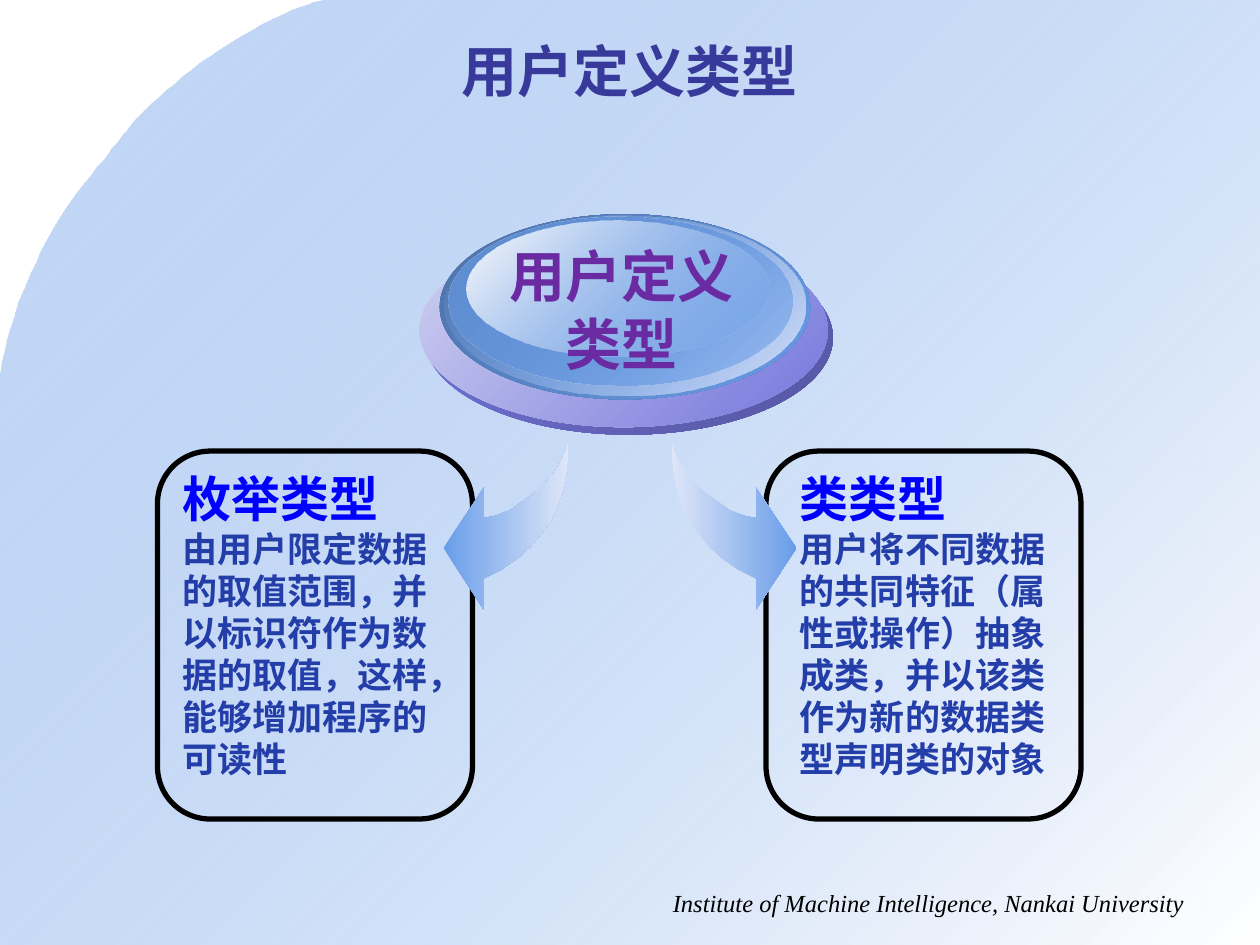
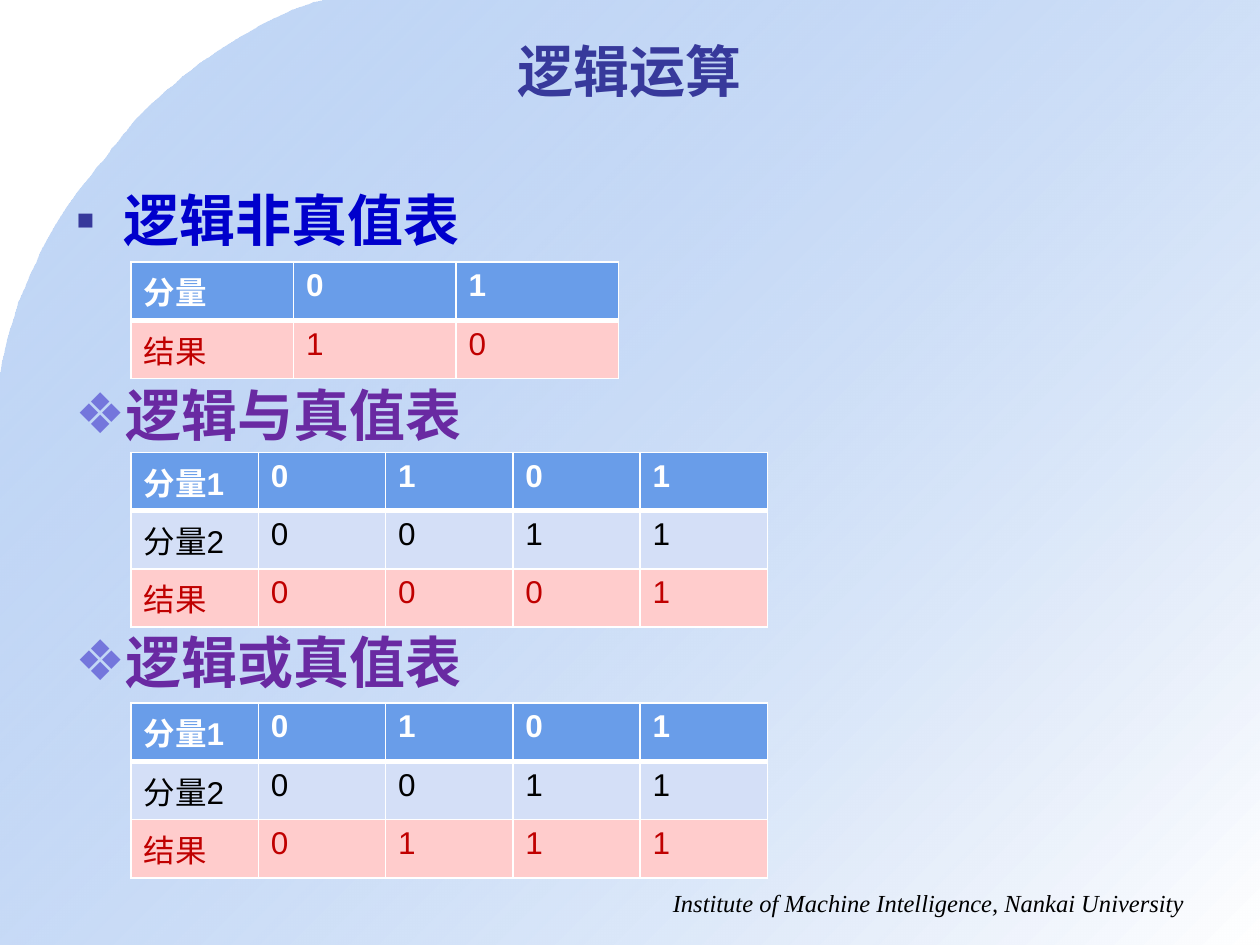
from lxml.etree import SubElement
from pptx import Presentation
from pptx.dml.color import RGBColor
from pptx.enum.lang import MSO_LANGUAGE_ID
from pptx.enum.shapes import MSO_SHAPE
from pptx.enum.text import MSO_ANCHOR, MSO_AUTO_SIZE, PP_ALIGN
from pptx.oxml.ns import qn
from pptx.util import Pt

SCALE = 9144  # EMU per px, 100 px to the inch
WIDE, HIGH = 1000, 750
HAN = "Noto Sans CJK SC"

INK = {
    "white": "FFFFFF", "black": "000000", "title": "37399B", "head": "0000FF",
    "text": "233DA9", "plum": "692AA2", "navy": "0000CC", "red": "C00000",
    "blue": "699DE9", "pale": "DEE6F8", "ice": "DAE3F8", "steel": "4B70A7",
    "sky": "5F8ED3", "lilac": "D0D1F0", "iris": "7476DC", "dusk": "5556A1",
    "row": "D4DFF7", "pink": "FFCCCC",
}

FORMS = {
    "title": {"name": "Arial", "size": Pt(32), "bold": True},
    "big": {"name": HAN, "size": Pt(32), "bold": True},
    "head": {"name": HAN, "size": Pt(28), "bold": True},
    "text": {"name": HAN, "size": Pt(20), "bold": True},
    "foot": {"name": "Times New Roman", "size": Pt(14), "italic": True},
    "top": {"name": "Arial", "size": Pt(18), "bold": True},
    "cell": {"name": "Arial", "size": Pt(18), "bold": False},
}


def rgb(ink):
    return RGBColor.from_string(INK[ink])


def px(*sizes):
    return [round(size * SCALE) for size in sizes]


def curve(start, one, two, end, steps=24):
    """Points on a cubic curve, without its start."""
    points = []
    for step in range(1, steps + 1):
        t = step / steps
        u = 1 - t
        parts = (u ** 3, 3 * u * u * t, 3 * u * t * t, t ** 3)
        points.append(tuple(sum(part * spot[axis] for part, spot in zip(parts, (start, one, two, end)))
                            for axis in (0, 1)))
    return points


class Deck:
    def __init__(self):
        self.prs = Presentation()
        self.prs.slide_width, self.prs.slide_height = px(WIDE, HIGH)
        self.slide = None

    def page(self, layout, title):
        self.slide = self.prs.slides.add_slide(self.prs.slide_layouts[layout])
        shape = self.slide.shapes.title
        self.place(shape, (50, 25, 900, 62))
        self.letter(shape, [(title, "title", "title")], PP_ALIGN.CENTER, MSO_ANCHOR.MIDDLE)

    def place(self, shape, box):
        for key, size in zip(("left", "top", "width", "height"), px(*box)):
            setattr(shape, key, size)

    def style(self, run, form, ink):
        for key, value in FORMS[form].items():
            setattr(run.font, key, value)
        run.font.color.rgb = rgb(ink)
        run.font.language_id = MSO_LANGUAGE_ID.SIMPLIFIED_CHINESE
        SubElement(run.font._element, qn("a:ea"), typeface=HAN)

    def letter(self, shape, lines, align=PP_ALIGN.LEFT, anchor=MSO_ANCHOR.TOP, wrap=True):
        frame = shape.text_frame
        looks = {"word_wrap": wrap, "auto_size": MSO_AUTO_SIZE.NONE, "vertical_anchor": anchor}
        for key, value in looks.items():
            setattr(frame, key, value)
        for index, (text, form, ink) in enumerate(lines):
            para = frame.add_paragraph() if index else frame.paragraphs[0]
            para.alignment = align
            para.space_before = Pt(0)
            run = para.add_run()
            run.text = text
            self.style(run, form, ink)

    def text(self, box, lines, **looks):
        shape = self.slide.shapes.add_textbox(*px(*box))
        self.letter(shape, lines, **looks)
        return shape

    def point(self, shape, text, ink, mark, tint):
        """One line with a coloured bullet."""
        self.letter(shape, [(text, "big", ink)])
        props = shape.text_frame.paragraphs[0]._p.get_or_add_pPr()
        indent, = px(38)
        props.set("marL", str(indent))
        props.set("indent", str(-indent))
        SubElement(SubElement(props, qn("a:buClr")), qn("a:srgbClr"), val=INK[tint])
        SubElement(props, qn("a:buFont"), typeface="Arial")
        SubElement(props, qn("a:buChar"), char=mark)

    def blend(self, shape, stops, angle):
        """Two-stop gradient; each stop is an ink and its opacity in percent."""
        shape.shadow.inherit = False
        shape.line.fill.background()
        shape.fill.gradient()
        shape.fill.gradient_angle = angle
        for stop, (ink, alpha) in zip(shape.fill.gradient_stops, stops):
            stop.color.rgb = rgb(ink)
            if alpha < 100:
                SubElement(stop._gs[0], qn("a:alpha"), val=str(alpha * 1000))

    def outline(self, points, stops, angle):
        pen = self.slide.shapes.build_freeform(*points[0], scale=SCALE)
        pen.add_line_segments(points[1:], close=True)
        shape = pen.convert_to_shape()
        self.blend(shape, stops, angle)
        return shape

    def disc(self, box, stops):
        shape = self.slide.shapes.add_shape(MSO_SHAPE.OVAL, *px(*box))
        self.blend(shape, stops, 315)

    def panel(self, box):
        shape = self.slide.shapes.add_shape(MSO_SHAPE.ROUNDED_RECTANGLE, *px(*box))
        shape.shadow.inherit = False
        shape.adjustments[0] = 0.167
        shape.fill.background()
        shape.line.color.rgb = rgb("black")
        shape.line.width = Pt(3)

    def edge(self, cell, row):
        props = cell._tc.get_or_add_tcPr()
        widths = {"L": 1, "R": 1, "T": 3 if row == 1 else 1, "B": 1 if row else 3}
        for index, (side, width) in enumerate(widths.items()):
            line = SubElement(props, qn("a:ln" + side), w=str(Pt(width)))
            SubElement(SubElement(line, qn("a:solidFill")), qn("a:srgbClr"), val=INK["white"])
            props.insert(index, line)

    def table(self, top, pitch, rows):
        count = len(rows[0])
        box = px(104, top, pitch * count, 41 * len(rows))
        table = self.slide.shapes.add_table(len(rows), count, *box).table
        table.horz_banding = False
        for col in table.columns:
            col.width, = px(pitch)
        for r, row in enumerate(rows):
            form, ink, fill = ("cell", "black", "row")
            if r == 0:
                form, ink, fill = ("top", "white", "blue")
            elif r == len(rows) - 1:
                ink, fill = ("red", "pink")
            for c, text in enumerate(row):
                cell = table.cell(r, c)
                cell.fill.solid()
                cell.fill.fore_color.rgb = rgb(fill)
                self.edge(cell, r)
                run = cell.text_frame.paragraphs[0].add_run()
                run.text = text
                self.style(run, form, ink)

    def master(self):
        """Move the shared band and footer to the slide master."""
        bend = [(258, 0)]
        bend += curve(bend[-1], (190, 16), (116, 83), (98, 107))
        bend += curve(bend[-1], (80, 132), (16, 194), (0, 301))
        bend += [(0, HIGH), (WIDE, HIGH), (WIDE, 0)]
        band = self.outline(bend, [("blue", 39), ("white", 100)], 315)
        foot = self.text((483, 700, 467, 34),
                         [("Institute of Machine Intelligence, Nankai University", "foot", "black")],
                         align=PP_ALIGN.RIGHT)
        tree = self.prs.slide_master.shapes.element
        for index, shape in enumerate((band, foot)):
            tree.insert(2 + index, shape.element)


ARROW = [
    (451, 348), (451, 363), (449, 377), (446, 391), (442, 403), (437, 414), (429, 424),
    (421, 434), (411, 443), (398, 452), (384, 459), (384, 484), (352, 435), (384, 387),
    (384, 411), (391, 410), (397, 408), (405, 405), (412, 400), (419, 395), (426, 390),
    (433, 383), (439, 376), (444, 369), (447, 362), (450, 355),
]

DISCS = [
    ((337, 191, 324, 154), [("iris", 100), ("dusk", 100)]),
    ((333, 185, 324, 154), [("lilac", 100), ("iris", 100)]),
    ((349, 170, 294, 147), [("steel", 100), ("blue", 100)]),
    ((353, 171, 286, 143), [("blue", 0), ("ice", 100)]),
    ((356, 172, 273, 134), [("sky", 100), ("blue", 48)]),
    ((370, 175, 240, 108), [("white", 100), ("blue", 38)]),
]

KINDS = [
    (608, 625, 225, "类类型", "用户将不同数据的共同特征（属性或操作）抽象成类，并以该类作为新的数据类型声明类的对象"),
    (125, 135, 223, "枚举类型", "由用户限定数据的取值范围，并以标识符作为数据的取值，这样，能够增加程序的可读性"),
]


def types(deck):
    deck.page(5, "用户定义类型")
    deck.master()
    # Panels for the two kinds of type
    for left, inner, width, head, body in KINDS:
        deck.panel((left, 358, 250, 292))
        deck.text((inner, 367, width, 256), [(head, "head", "head"), (body, "text", "text")])
    # Arrows, the right one mirrored
    stops = [("blue", 100), ("pale", 100)]
    deck.outline(ARROW, stops, 0)
    deck.outline([(984 - x, y) for x, y in ARROW], stops[::-1], 0)
    # Button with its label
    for box, shades in DISCS:
        deck.disc(box, shades)
    deck.text((393, 187, 200, 118), [(line, "big", "plum") for line in ("用户定义", "类型")],
              align=PP_ALIGN.CENTER, wrap=False)


def logic(deck):
    deck.page(1, "逻辑运算")
    # Headings
    body = deck.slide.placeholders[1]
    deck.place(body, (50, 142, 419, 61))
    deck.point(body, "逻辑非真值表", "navy", "▪", "title")
    for top, width, text in ((297, 333, "逻辑与真值表"), (493, 458, "逻辑或真值表")):
        deck.point(deck.text((50, top, width, 61), []), text, "plum", "❖", "iris")
    # Truth tables
    deck.table(208, 129, [["分量", "0", "1"], ["结果", "1", "0"]])
    pairs = [["分量1", *"0101"], ["分量2", *"0011"]]
    for top, result in ((359, "0001"), (558, "0111")):
        deck.table(top, 101, pairs + [["结果", *result]])


def main():
    deck = Deck()
    types(deck)
    logic(deck)
    deck.prs.save("out.pptx")


if __name__ == "__main__":
    main()
